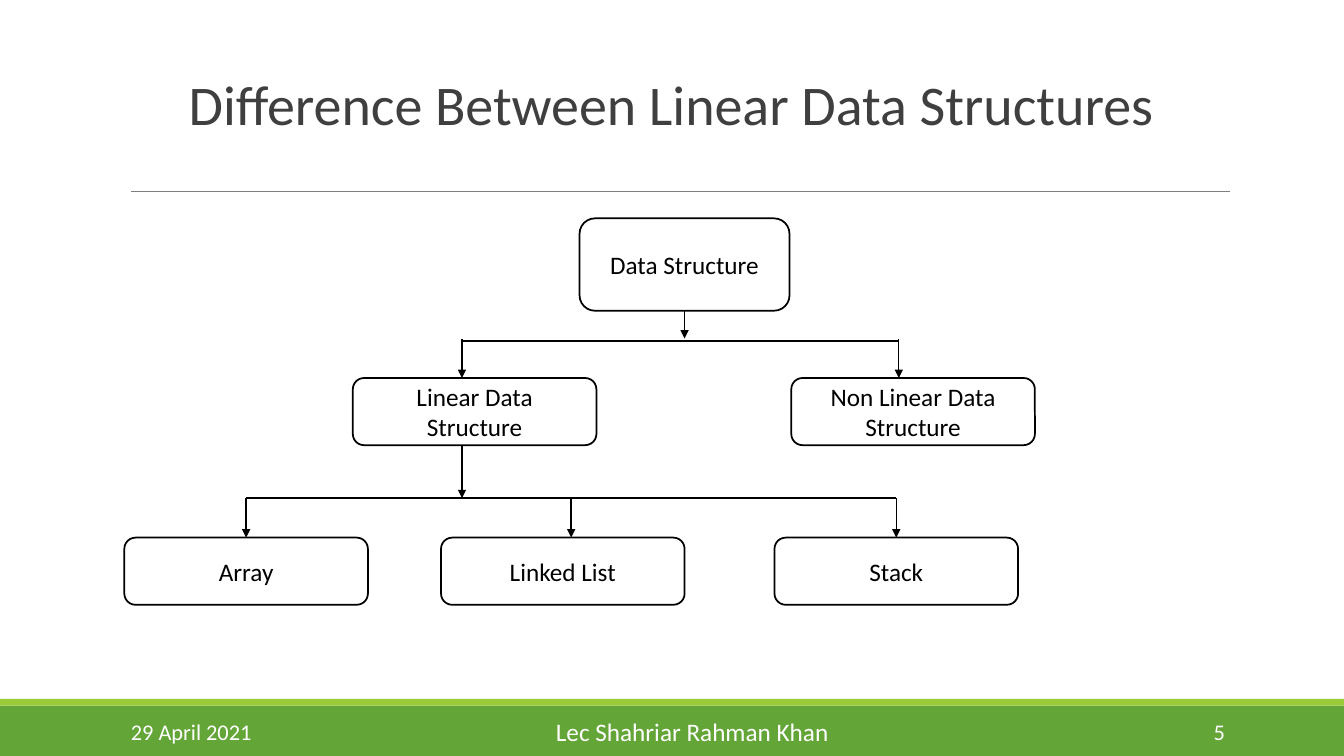
from pptx import Presentation
from pptx.dml.color import RGBColor
from pptx.enum.shapes import MSO_CONNECTOR, MSO_SHAPE
from pptx.enum.text import MSO_ANCHOR, MSO_AUTO_SIZE, PP_ALIGN
from pptx.oxml.ns import qn
from pptx.util import Inches, Pt
from lxml import etree

RECT, ROUNDED = MSO_SHAPE.RECTANGLE, MSO_SHAPE.ROUNDED_RECTANGLE
STRAIGHT = MSO_CONNECTOR.STRAIGHT
LEFT, CENTER, RIGHT = PP_ALIGN.LEFT, PP_ALIGN.CENTER, PP_ALIGN.RIGHT
TOP, MIDDLE, BOTTOM = MSO_ANCHOR.TOP, MSO_ANCHOR.MIDDLE, MSO_ANCHOR.BOTTOM
SITE_TOP, SITE_BOTTOM = 0, 2

WHITE = RGBColor(0xFF, 0xFF, 0xFF)
BLACK = RGBColor(0x00, 0x00, 0x00)
GREEN = RGBColor(0x63, 0xA5, 0x37)
LIME = RGBColor(0x99, 0xCB, 0x38)
GRAY = RGBColor(0x7F, 0x7F, 0x7F)
CHARCOAL = RGBColor(0x3F, 0x3F, 0x3F)

COLS, ROWS = 160, 90


class Deck:
    """Holds the style and the current slide; lengths are grid columns and rows."""

    font = "Calibri"

    def __init__(self, prs):
        self.col = prs.slide_width / COLS
        self.row = prs.slide_height / ROWS
        self.slide = prs.slides.add_slide(prs.slide_layouts[5])

    def x(self, cols):
        return round(cols * self.col)

    def y(self, rows):
        return round(rows * self.row)

    def place(self, x, y, w, h):
        return self.x(x), self.y(y), self.x(w), self.y(h)

    def set_text(self, shape, text, size, color, align, anchor, spacing=None):
        tf = shape.text_frame
        frame = {"word_wrap": True, "auto_size": MSO_AUTO_SIZE.NONE,
                 "vertical_anchor": anchor}
        for name, value in frame.items():
            setattr(tf, name, value)
        p = tf.paragraphs[0]
        p.alignment, p.line_spacing = align, spacing
        r = p.add_run()
        r.text = text
        for name, value in {"name": self.font, "size": Pt(size)}.items():
            setattr(r.font, name, value)
        r.font.color.rgb = color

    def title(self, text, box):
        s = self.slide.shapes.title
        s.left, s.top, s.width, s.height = self.place(*box)
        self.set_text(s, text, 40, CHARCOAL, CENTER, BOTTOM, 0.85)

    def label(self, text, box, size, align, anchor):
        s = self.slide.shapes.add_textbox(*self.place(*box))
        self.set_text(s, text, size, WHITE, align, anchor)

    def shape(self, kind, box, fill):
        s = self.slide.shapes.add_shape(kind, *self.place(*box))
        s.shadow.inherit = False
        s.fill.solid()
        s.fill.fore_color.rgb = fill
        s.line.fill.background()
        return s

    def node(self, text, x, y, w=29, h=8):
        s = self.shape(ROUNDED, (x, y, w, h), WHITE)
        s.line.color.rgb = BLACK
        s.line.width = Pt(1.25)
        self.set_text(s, text, 18, BLACK, CENTER, MIDDLE)
        return s

    def line(self, x1, y1, x2, y2, color=BLACK, width=1):
        s = self.slide.shapes.add_connector(
            STRAIGHT, self.x(x1), self.y(y1), self.x(x2), self.y(y2))
        s.line.color.rgb = color
        s.line.width = Pt(width)
        etree.SubElement(s.element.spPr, qn("a:effectLst"))
        return s

    def arrow(self, x, y1, y2, source=None, target=None):
        s = self.line(x, y1, x, y2)
        ln = s.element.spPr.find(qn("a:ln"))
        etree.SubElement(ln, qn("a:tailEnd"), type="triangle")
        if source is not None:
            s.begin_connect(source, SITE_BOTTOM)
        if target is not None:
            s.end_connect(target, SITE_TOP)


def main():
    prs = Presentation()
    prs.slide_width, prs.slide_height = Inches(13.33), Inches(7.5)
    deck = Deck(prs)

    # Footer band and title rule
    deck.shape(RECT, (0, 84, COLS, 6), GREEN)
    deck.shape(RECT, (0, 83.2, COLS, 0.8), LIME)
    deck.line(15.6, 22.8, 146.4, 22.8, GRAY, 0.75)

    # Title and footer text
    deck.title("Difference Between Linear Data Structures", (19.9, 3.5, 120, 13.4))
    for text, x, w, size, align, anchor in (
            ("29 April 2021", 14.4, 32.4, 16, LEFT, MIDDLE),
            ("Lec Shahriar Rahman Khan", 65, 35.9, 18, LEFT, TOP),
            ("5", 129.8, 17.2, 16, RIGHT, MIDDLE)):
        deck.label(text, (x, 84.7, w, 4.8), size, align, anchor)

    # Tree nodes
    root = deck.node("Data Structure", 69, 26, 25, 11)
    deck.node("Linear Data Structure", 42, 45)
    deck.node("Non Linear Data Structure", 94.2, 45)
    array = deck.node("Array", 14.8, 64)
    deck.node("Linked List", 52.5, 64)
    stack = deck.node("Stack", 92.2, 64)

    # Root to the two families
    linear_x, non_linear_x = 55, 107
    deck.arrow(81.5, 37, 40.3, source=root)
    deck.line(linear_x, 40.6, non_linear_x, 40.6)
    for x in (linear_x, non_linear_x):
        deck.arrow(x, 40.3, 45)

    # Linear family to its members
    branch_y = 59.3
    members = ((29.3, array), (68, None), (106.7, stack))
    deck.arrow(linear_x, 53, branch_y)
    deck.line(members[0][0], branch_y, members[-1][0], branch_y)
    for x, target in members:
        deck.arrow(x, branch_y, 64, target=target)

    prs.save("out.pptx")


if __name__ == "__main__":
    main()
